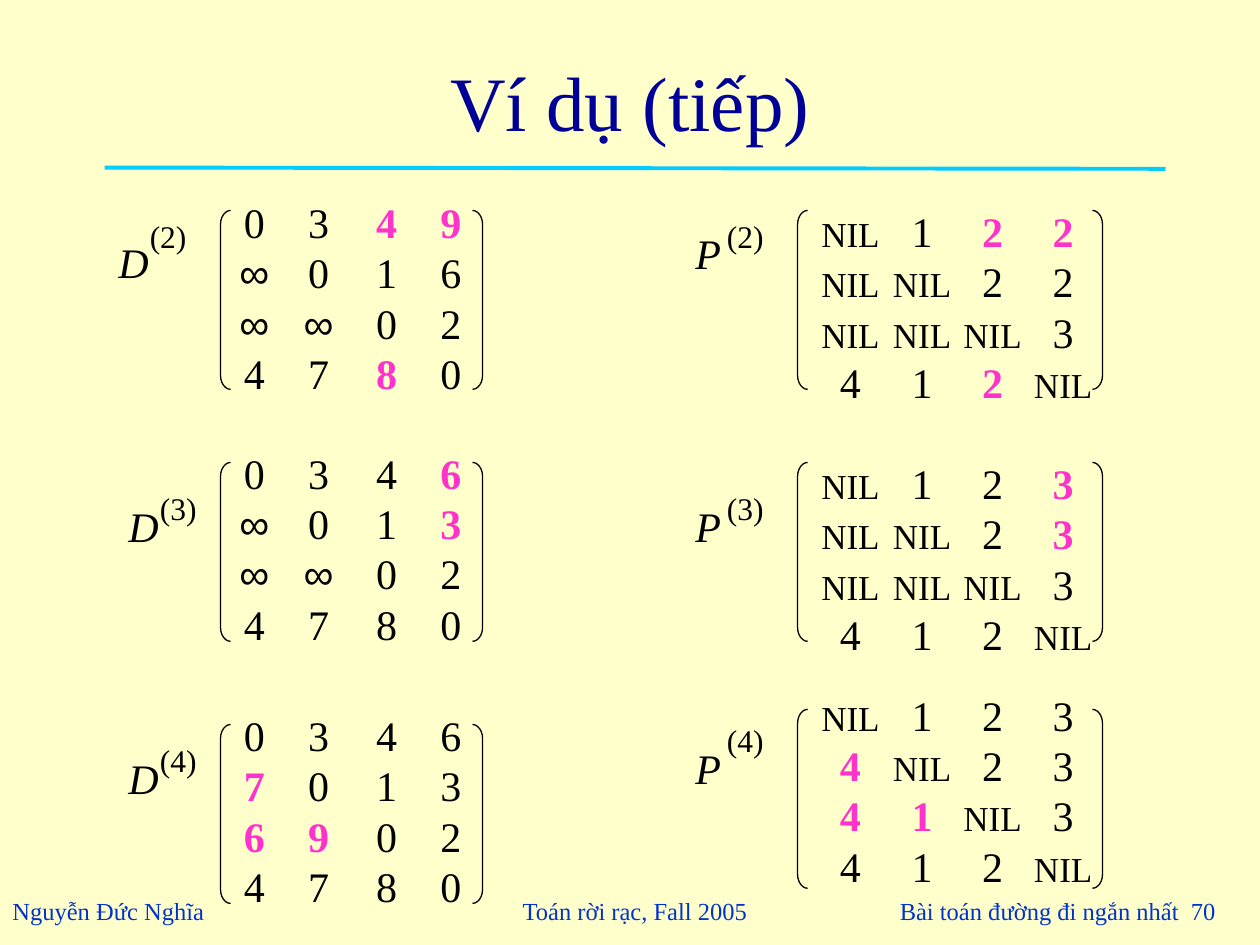
from lxml.etree import SubElement
from pptx import Presentation
from pptx.dml.color import RGBColor
from pptx.enum.shapes import MSO_CONNECTOR, MSO_SHAPE
from pptx.enum.text import MSO_ANCHOR, PP_ALIGN
from pptx.oxml.ns import qn
from pptx.util import Inches, Pt

COLORS = {
    "paper": "FFFFCC",
    "title": "000099",
    "footer": "0033CC",
    "rule": "00CCFF",
    "ink": "000000",
    "new": "FF33CC",
}
FACE = "Times New Roman"
D_TABS = (0.17, 0.68, 1.22, 1.73)
P_TABS = (0.23, 0.8, 1.36, 1.92)

# A star marks a value that changed in this step.
D_ROWS = {
    2: ("0 3 4* 9*", "∞ 0 1 6", "∞ ∞ 0 2", "4 7 8* 0"),
    3: ("0 3 4 6*", "∞ 0 1 3*", "∞ ∞ 0 2", "4 7 8 0"),
    4: ("0 3 4 6", "7* 0 1 3", "6* 9* 0 2", "4 7 8 0"),
}
P_ROWS = {
    2: ("NIL 1 2* 2*", "NIL NIL 2 2", "NIL NIL NIL 3", "4 1 2* NIL"),
    3: ("NIL 1 2 3*", "NIL NIL 2 3*", "NIL NIL NIL 3", "4 1 2 NIL"),
    4: ("NIL 1 2 3", "4* NIL 2 3", "4* 1* NIL 3", "4 1 2 NIL"),
}


def color(name):
    return RGBColor.from_string(COLORS[name])


def style(font, size, ink="ink", italic=False):
    font.name = FACE
    font.size = Pt(size)
    font.color.rgb = color(ink)
    font.italic = italic


def add_box(slide, x, y, w, h):
    box = slide.shapes.add_textbox(Inches(x), Inches(y), Inches(w), Inches(h))
    box.text_frame.word_wrap = True
    return box.text_frame


def add_text(slide, text, x, y, w, h, size, ink="ink", italic=False,
             align=PP_ALIGN.LEFT, anchor=MSO_ANCHOR.TOP):
    frame = add_box(slide, x, y, w, h)
    frame.vertical_anchor = anchor
    para = frame.paragraphs[0]
    para.text = text
    para.alignment = align
    style(para.font, size, ink, italic)


def add_rule(slide):
    line = slide.shapes.add_connector(
        MSO_CONNECTOR.STRAIGHT, Inches(0.83), Inches(1.33), Inches(9.25), Inches(1.34))
    line.line.color.rgb = color("rule")
    line.line.width = Pt(2.25)
    SubElement(line.element.spPr, qn("a:effectLst"))


def add_bracket(slide, kind, x, y):
    shape = slide.shapes.add_shape(kind, Inches(x), Inches(y), Inches(0.08), Inches(1.42))
    shape.adjustments[0] = 1.4
    shape.shadow.inherit = False
    shape.fill.background()
    shape.line.color.rgb = color("ink")
    shape.line.width = Pt(0.75)


def set_tabs(para, stops):
    tabs = SubElement(para._p.get_or_add_pPr(), qn("a:tabLst"))
    for stop in stops:
        SubElement(tabs, qn("a:tab"), pos=str(Inches(stop)), algn="ctr")


def add_cell(para, cell):
    value = cell.rstrip("*")
    run = para.add_run()
    run.text = "\t" + value
    if value == "NIL":
        run.font.size = Pt(20)
    if value == "∞":
        run.font.name = "Arial"
    if cell != value:
        run.font.bold = True
        run.font.color.rgb = color("new")


def add_grid(slide, rows, x, y, w, stops):
    frame = add_box(slide, x, y, w, 1.7)
    frame.margin_right = 0
    for i, row in enumerate(rows):
        para = frame.add_paragraph() if i else frame.paragraphs[0]
        set_tabs(para, stops)
        style(para.font, 24)
        for cell in row.split():
            add_cell(para, cell)


def add_matrix(slide, name, step, label, power, left, top, grid, rows, stops):
    add_text(slide, name, *label, 0.52, 0.5, 24, italic=True)
    add_text(slide, f"({step})", *power, 0.55, 0.4, 18)
    add_bracket(slide, MSO_SHAPE.LEFT_BRACKET, left, top)
    add_bracket(slide, MSO_SHAPE.RIGHT_BRACKET, left + 2 + 0.34 * (name == "P"), top)
    add_grid(slide, rows, *grid, stops)


def add_footer(slide):
    items = (
        ("Nguyễn Đức Nghĩa", 0, 2, PP_ALIGN.LEFT),
        ("Toán rời rạc, Fall 2005", 3.79, 2.5, PP_ALIGN.CENTER),
        ("Bài toán đường đi ngắn nhất  70", 6.75, 3, PP_ALIGN.RIGHT),
    )
    for text, x, w, align in items:
        add_text(slide, text, x, 7.06, w, 0.34, 14, "footer", align=align,
                 anchor=MSO_ANCHOR.MIDDLE)


def main():
    deck = Presentation()
    deck.slide_width, deck.slide_height = Inches(10), Inches(7.5)
    slide = deck.slides.add_slide(deck.slide_layouts[6])
    slide.background.fill.solid()
    slide.background.fill.fore_color.rgb = color("paper")

    add_footer(slide)
    add_text(slide, "Ví dụ (tiếp)", 0.75, 0.17, 8.5, 1.25, 44, "title",
             align=PP_ALIGN.CENTER, anchor=MSO_ANCHOR.MIDDLE)
    add_rule(slide)

    d_spots = (
        (2, (0.84, 1.83), (1.09, 1.67), 1.67, 1.51),
        (3, (0.92, 3.92), (1.17, 3.83), 3.67, 3.5),
        (4, (0.92, 5.92), (1.17, 5.83), 5.75, 5.58),
    )
    for step, label, power, top, y in d_spots:
        add_matrix(slide, "D", step, label, power, 1.75, top, (1.75, y, 2.03),
                   D_ROWS[step], D_TABS)

    p_spots = (
        (2, 1.76, 1.67, 1.67, 1.58),
        (3, 3.92, 3.83, 3.67, 3.58),
        (4, 5.84, 5.67, 5.63, 5.42),
    )
    for step, label, power, top, y in p_spots:
        add_matrix(slide, "P", step, (5.42, label), (5.67, power), 6.33, top,
                   (6.42, y, 2.34), P_ROWS[step], P_TABS)

    deck.save("out.pptx")


if __name__ == "__main__":
    main()
